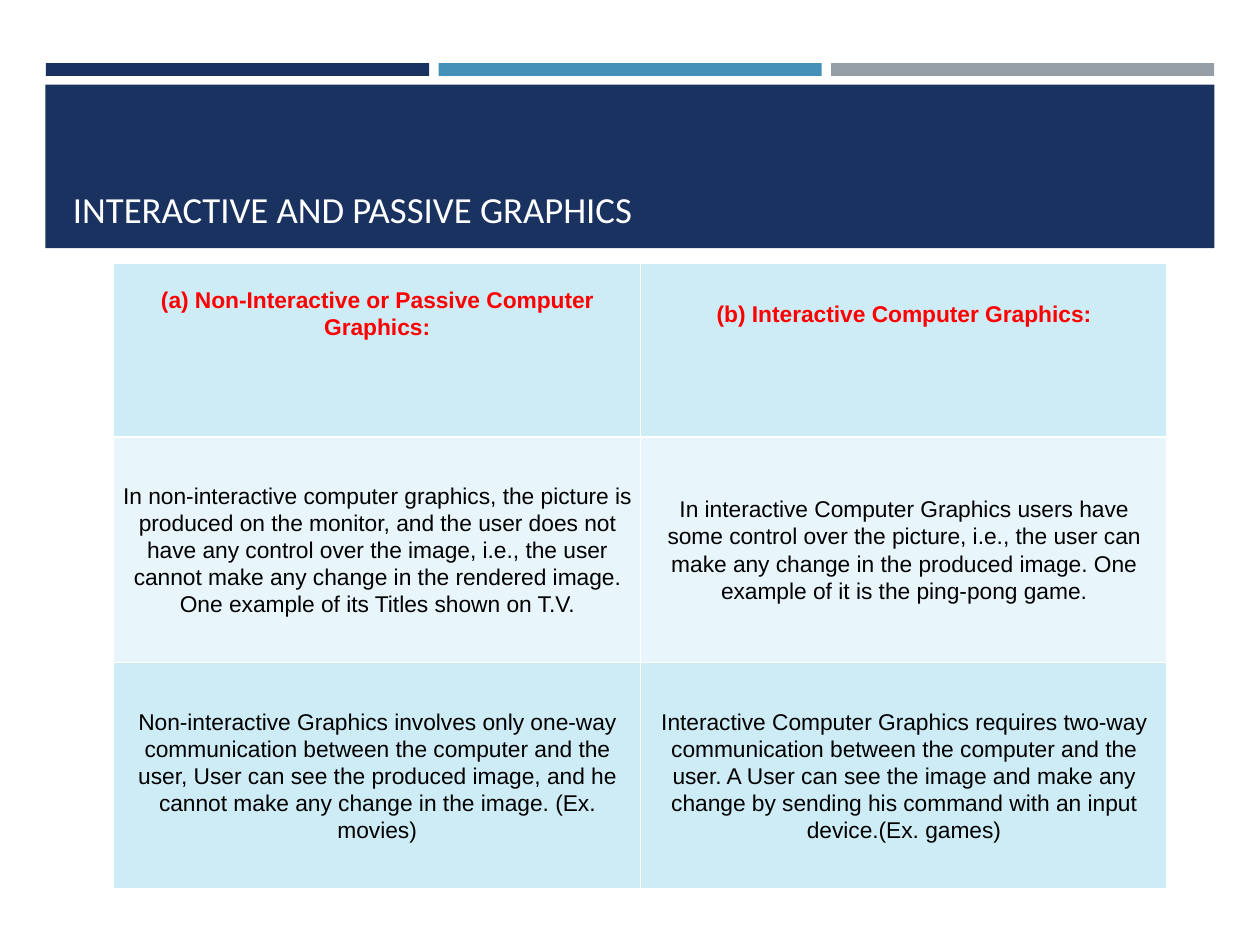
from lxml.etree import SubElement
from pptx import Presentation
from pptx.dml.color import RGBColor
from pptx.enum.shapes import MSO_SHAPE as Shape
from pptx.enum.text import MSO_ANCHOR as Anchor, PP_ALIGN as Align
from pptx.oxml.ns import qn
from pptx.util import Pt

# Content
TITLE = "INTERACTIVE AND PASSIVE GRAPHICS"
ROWS = [
    ("(a) Non-Interactive or Passive Computer Graphics:",
     "(b) Interactive Computer Graphics:"),
    ("In non-interactive computer graphics, the picture is produced on the "
     "monitor, and the user does not have any control over the image, i.e., "
     "the user cannot make any change in the rendered image. One example of "
     "its Titles shown on T.V.",
     "In interactive Computer Graphics users have some control over the "
     "picture, i.e., the user can make any change in the produced image. One "
     "example of it is the ping-pong game."),
    ("Non-interactive Graphics involves only one-way communication between "
     "the computer and the user, User can see the produced image, and he "
     "cannot make any change in the image. (Ex. movies)",
     "Interactive Computer Graphics requires two-way communication between "
     "the computer and the user. A User can see the image and make any change "
     "by sending his command with an input device.(Ex. games)"),
]
HIGHS = [99, 129, 129]
NAVY, WHITE = "1A3260", "FFFFFF"
STRIPS = [NAVY, "4590B8", "969FA7"]
BANDS = ["CEECF6", "E8F6FB"]


def color(code):
    return RGBColor.from_string(code)


def add_bar(left, top, width, height, code):
    bar = slide.shapes.add_shape(
        Shape.RECTANGLE, Pt(left), Pt(top), Pt(width), Pt(height))
    bar.shadow.inherit = False
    bar.fill.solid()
    bar.fill.fore_color.rgb = color(code)
    bar.line.fill.background()


def add_run(para, text, name, size, code, bold=False):
    run = para.add_run()
    run.text = text
    font = run.font
    font.name, font.size, font.bold = name, Pt(size), bold
    font.color.rgb = color(code)


def set_edges(cell):
    props = cell._tc.get_or_add_tcPr()
    for i, side in enumerate(("lnL", "lnR", "lnT", "lnB")):
        line = SubElement(props, qn("a:" + side), w=str(Pt(1)))
        fill = SubElement(line, qn("a:solidFill"))
        SubElement(fill, qn("a:srgbClr"), val=WHITE)
        props.remove(line)
        props.insert(i, line)  # edges come before the fill


deck = Presentation()
deck.slide_width, deck.slide_height = Pt(720), Pt(540)
slide = deck.slides.add_slide(deck.slide_layouts[6])

# Top strips and title band
for i, code in enumerate(STRIPS):
    add_bar(26.3 + i * 224.3, 36, 219, 7.4, code)
add_bar(26, 48.4, 668, 93.4, NAVY)

# Title
box = slide.shapes.add_textbox(Pt(34.6), Pt(55.4), Pt(651.6), Pt(79.9))
frame = box.text_frame
frame.word_wrap = True
frame.vertical_anchor = Anchor.BOTTOM
add_run(frame.paragraphs[0], TITLE, "Calibri", 21, WHITE)

# Comparison table
table = slide.shapes.add_table(
    len(ROWS), 2, Pt(65), Pt(150.7), Pt(602), Pt(sum(HIGHS))).table
for col in table.columns:
    col.width = Pt(301)
for r, (texts, high) in enumerate(zip(ROWS, HIGHS)):
    table.rows[r].height = Pt(high)
    head = r == 0
    for c, text in enumerate(texts):
        cell = table.cell(r, c)
        cell.fill.solid()
        cell.fill.fore_color.rgb = color(BANDS[r % 2])
        set_edges(cell)
        cell.vertical_anchor = Anchor.MIDDLE
        cell.margin_left = cell.margin_right = Pt(5)
        cell.margin_top = 0
        cell.margin_bottom = Pt(42 if head else 0)  # lifts the headings
        para = cell.text_frame.paragraphs[0]
        para.alignment = Align.CENTER
        para.line_spacing = 1.07
        add_run(para, text, "Arial", 13, "FF0000" if head else "000000", head)

deck.save("out.pptx")
